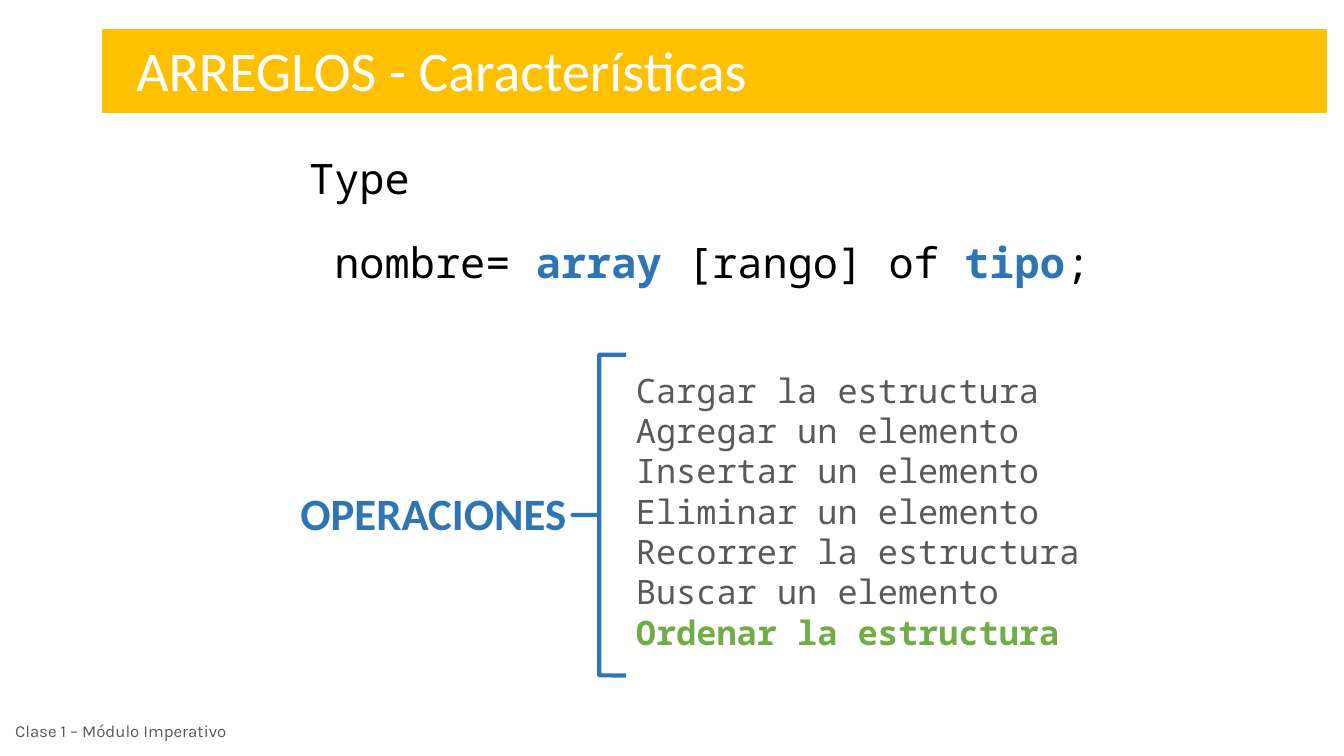
from dataclasses import dataclass

from lxml import etree
from pptx import Presentation
from pptx.dml.color import RGBColor
from pptx.enum.shapes import MSO_SHAPE
from pptx.enum.text import MSO_ANCHOR, MSO_AUTO_SIZE, PP_ALIGN
from pptx.oxml.ns import qn
from pptx.shapes.autoshape import Shape
from pptx.util import Cm, Pt

RECTANGLE = MSO_SHAPE.RECTANGLE
LEFT_BRACE = MSO_SHAPE.LEFT_BRACE
TOP, MIDDLE = MSO_ANCHOR.TOP, MSO_ANCHOR.MIDDLE
NO_AUTOSIZE = MSO_AUTO_SIZE.NONE
LEFT = PP_ALIGN.LEFT

COLORS = {
    "banner": "FFC000",
    "title": "FFFFFF",
    "code": "000000",
    "accent": "2E75B6",
    "muted": "595959",
    "highlight": "70AD47",
}
SANS, MONO, FOOTER_FONT = "Calibri", "Noto Sans Mono", "Karla"


@dataclass(frozen=True)
class Box:
    left: float
    top: float
    width: float
    height: float

    def lengths(self) -> tuple[Cm, Cm, Cm, Cm]:
        return Cm(self.left), Cm(self.top), Cm(self.width), Cm(self.height)


@dataclass(frozen=True)
class Span:
    text: str
    color: str
    bold: bool = False


@dataclass(frozen=True)
class TextBlock:
    box: Box
    lines: list[list[Span]]
    font: str
    size: int
    gap: int = 0
    anchor: MSO_ANCHOR = TOP


TITLE = TextBlock(
    Box(3.18, 0.76, 16.05, 1.96),
    [[Span("ARREGLOS - Características", "title")]], SANS, 40,
)
OPERATION_NAMES = [
    "Cargar la estructura",
    "Agregar un elemento",
    "Insertar un elemento",
    "Eliminar un elemento",
    "Recorrer la estructura",
    "Buscar un elemento",
]
OPERATIONS = TextBlock(
    Box(15.77, 9.19, 14.4, 7.44),
    [[Span(name, "muted")] for name in OPERATION_NAMES]
    + [[Span("Ordenar la estructura", "highlight", True)]],
    MONO, 24,
)
DECLARATION = TextBlock(
    Box(7.54, 3.73, 20.4, 3.68),
    [
        [Span("Type", "code")],
        [
            Span(" nombre= ", "code"),
            Span("array ", "accent", True),
            Span("[rango] of ", "code"),
            Span("tipo", "accent", True),
            Span(";", "code"),
        ],
    ],
    MONO, 30, gap=24,
)
OPERATIONS_LABEL = TextBlock(
    Box(7.32, 12.12, 7.82, 1.63),
    [[Span("OPERACIONES", "accent", True)]], SANS, 32,
)
FOOTER = TextBlock(
    Box(0.13, 17.91, 5.92, 1.02),
    [[Span("Clase 1 – Módulo Imperativo", "muted")]],
    FOOTER_FONT, 12, anchor=MIDDLE,
)
BANNER_BOX = Box(2.59, 0.76, 30.84, 2.06)
BRACE_BOX = Box(14.43, 8.94, 1.35, 8.08)


def rgb(name: str) -> RGBColor:
    return RGBColor.from_string(COLORS[name])


def write_block(holder: Shape, block: TextBlock) -> None:
    holder.left, holder.top, holder.width, holder.height = block.box.lengths()
    frame = holder.text_frame
    frame.word_wrap = True
    frame.auto_size = NO_AUTOSIZE
    frame.vertical_anchor = block.anchor
    frame.text = "\n".join("" for _ in block.lines)
    for index, (paragraph, spans) in enumerate(zip(frame.paragraphs, block.lines)):
        properties = paragraph._p.get_or_add_pPr()
        properties.set("marL", "0")
        properties.set("indent", "0")
        etree.SubElement(properties, qn("a:buNone"))
        paragraph.alignment = LEFT
        paragraph.space_before = Pt(block.gap if index else 0)
        for span in spans:
            run = paragraph.add_run()
            run.text = span.text
            run.font.name = block.font
            run.font.size = Pt(block.size)
            run.font.bold = span.bold
            run.font.color.rgb = rgb(span.color)


def add_figure(slide, kind: MSO_SHAPE, box: Box, line: str, weight: int) -> Shape:
    figure = slide.shapes.add_shape(kind, *box.lengths())
    figure.shadow.inherit = False
    figure.fill.background()
    figure.line.color.rgb = rgb(line)
    figure.line.width = Pt(weight)
    return figure


def main() -> None:
    presentation = Presentation()
    presentation.slide_width, presentation.slide_height = Cm(33.87), Cm(19.05)
    slide = presentation.slides.add_slide(presentation.slide_layouts[1])

    banner = add_figure(slide, RECTANGLE, BANNER_BOX, "banner", 1)
    banner.fill.solid()
    banner.fill.fore_color.rgb = rgb("banner")
    slide.shapes.title._element.addprevious(banner._element)

    write_block(slide.shapes.title, TITLE)
    write_block(slide.placeholders[1], OPERATIONS)
    for block in (DECLARATION, OPERATIONS_LABEL, FOOTER):
        write_block(slide.shapes.add_textbox(*block.box.lengths()), block)

    brace = add_figure(slide, LEFT_BRACE, BRACE_BOX, "accent", 3)
    brace.adjustments[0] = 0.002

    presentation.save("out.pptx")


if __name__ == "__main__":
    main()
